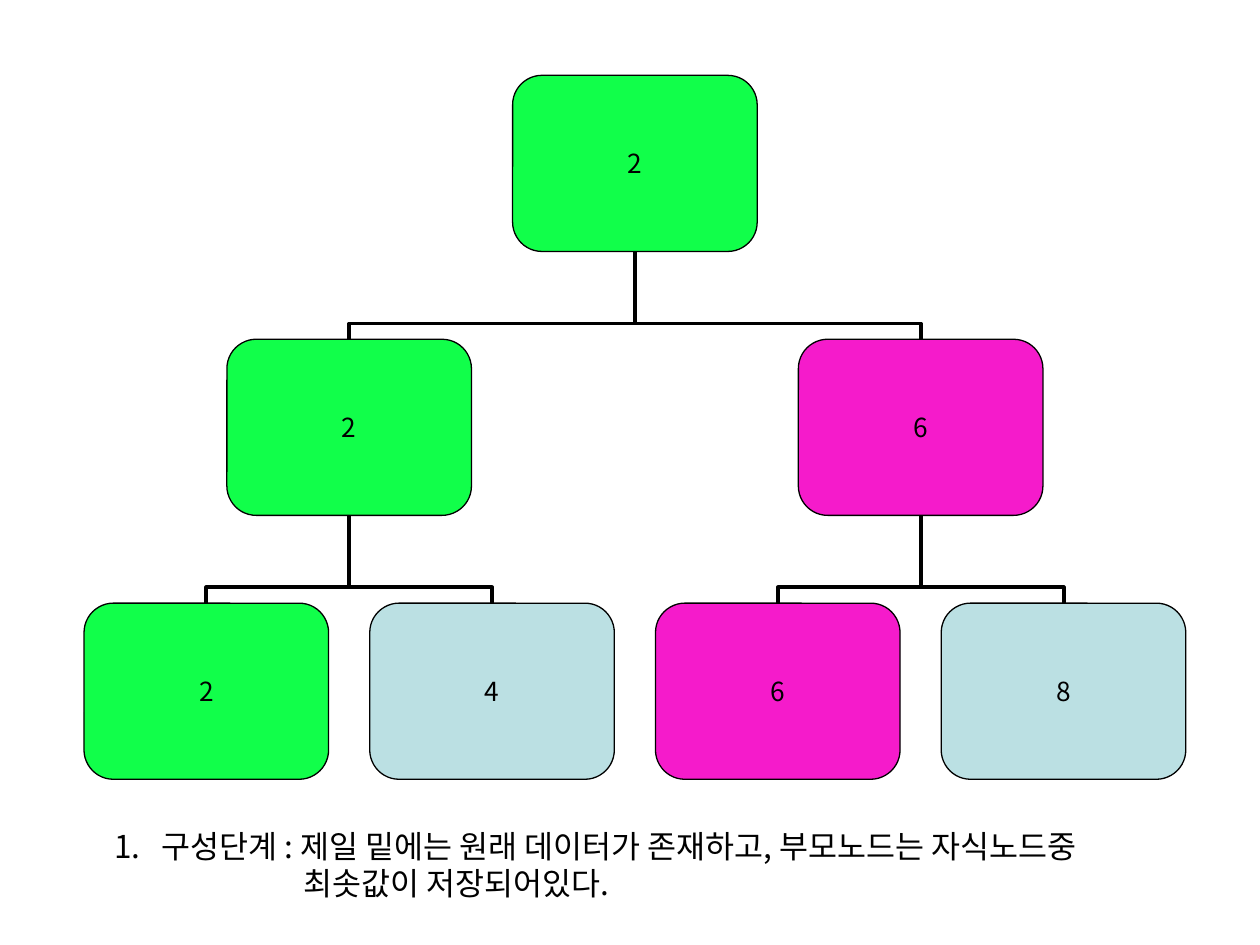
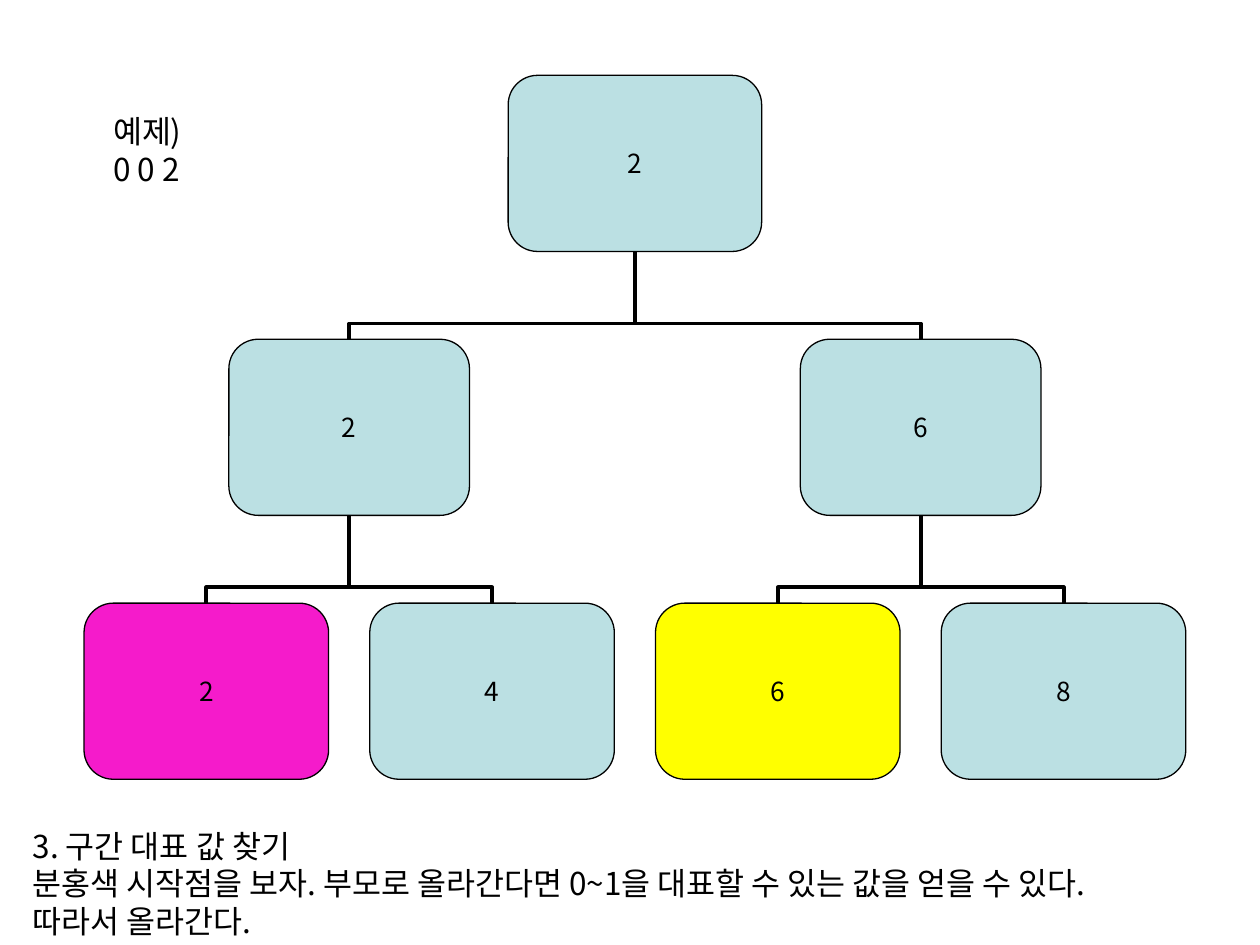
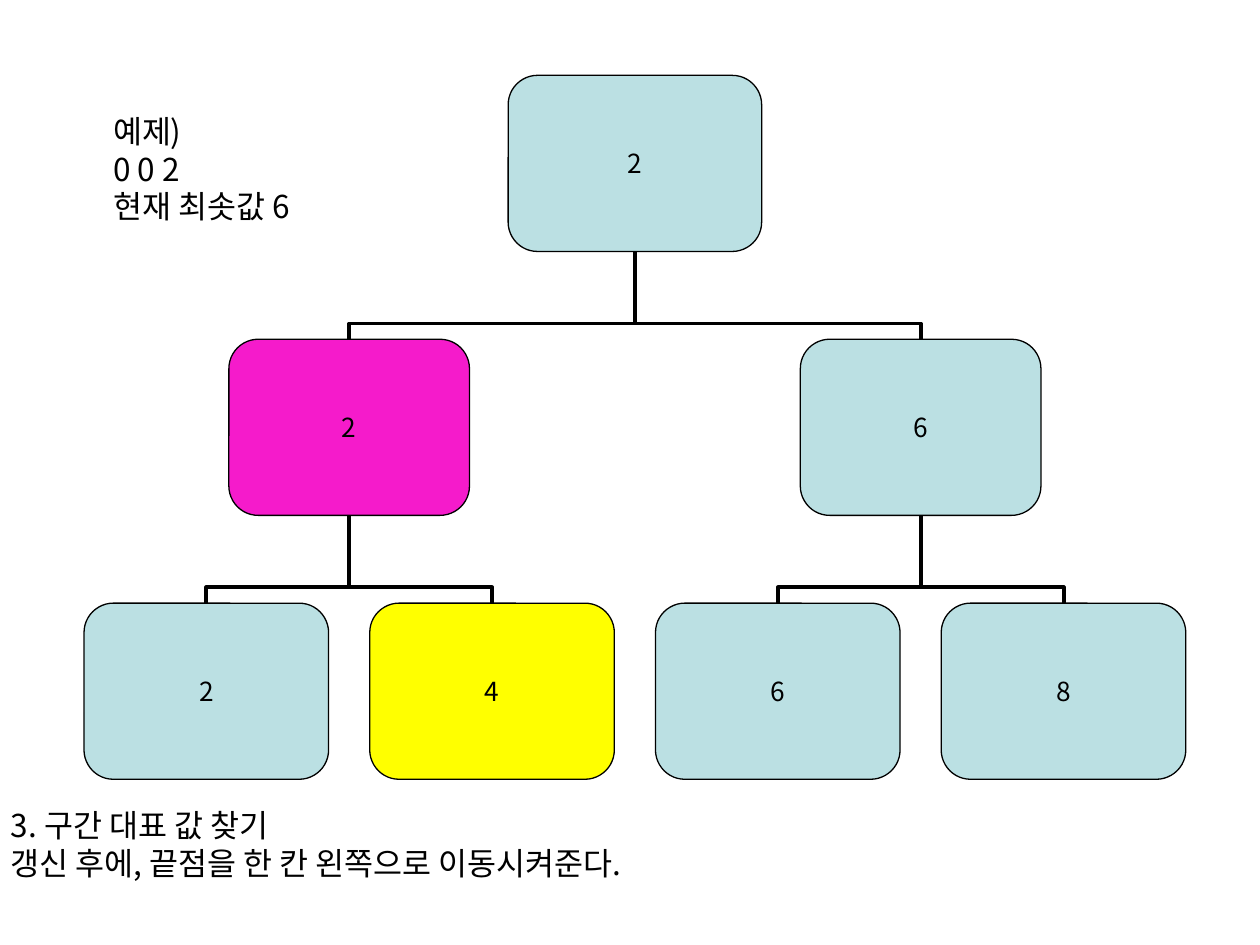
from lxml import etree
from pptx import Presentation
from pptx import util as u
from pptx.dml.color import RGBColor
from pptx.enum import shapes, text
from pptx.oxml import ns

# Shared look
BLACK = RGBColor(0x00, 0x00, 0x00)
GREEN = RGBColor(0x11, 0xFF, 0x4A)
PINK = RGBColor(0xF5, 0x1B, 0xCB)
PALE = RGBColor(0xBB, 0xE0, 0xE3)
YELLOW = RGBColor(0xFF, 0xFF, 0x00)
FONT = "Noto Sans CJK KR"

# Tree layout in cm
TOP, DROP = 1.52, 5.32
FIRST, STEP = 4.16, 5.76
HEIGHT = 3.55
EVEN = (4.93, 4.93, 4.93)
MIXED = (5.11, 4.85, 4.93)
VALUES = ((2,), (2, 6), (2, 4, 6, 8))


def sub(node, tag, **attrs):
    return etree.SubElement(node, ns.qn(tag), attrs)


def add_run(para, words, size):
    run = para.add_run()
    run.text = words
    run.font.size = u.Pt(size)
    run.font.name = FONT
    run.font.color.rgb = BLACK
    sub(run.font._element, "a:ea", typeface=FONT)


def centre(level, index):
    """Middle of a node: leaves are evenly spaced, parents sit between children."""
    span = 2 ** (2 - level)
    return FIRST + STEP * (index * span + (span - 1) / 2)


def add_node(slide, level, index, width, fill):
    box = slide.shapes.add_shape(
        shapes.MSO_SHAPE.ROUNDED_RECTANGLE,
        u.Cm(centre(level, index) - width / 2), u.Cm(TOP + level * DROP),
        u.Cm(width), u.Cm(HEIGHT))
    box.shadow.inherit = False
    box.fill.solid()
    box.fill.fore_color.rgb = fill
    box.line.color.rgb = BLACK
    box.line.width = u.Pt(0.75)
    frame = box.text_frame
    frame.margin_left = frame.margin_right = 0
    frame.margin_top = frame.margin_bottom = 0
    frame.vertical_anchor = text.MSO_ANCHOR.MIDDLE
    para = frame.paragraphs[0]
    para.alignment = text.PP_ALIGN.CENTER
    add_run(para, str(VALUES[level][index]), 15)


def add_branch(slide, level, index):
    """Elbow from the top of a node up to the bottom of its parent."""
    child, parent = centre(level, index), centre(level - 1, index // 2)
    rise, reach = DROP - HEIGHT, abs(child - parent)
    mid_x = (child + parent) / 2
    mid_y = TOP + level * DROP - rise / 2
    left, top = mid_x - rise / 2, mid_y - reach / 2
    line = slide.shapes.add_connector(
        shapes.MSO_CONNECTOR.ELBOW, u.Cm(left), u.Cm(top),
        u.Cm(left + rise), u.Cm(top + reach))
    line.line.color.rgb = BLACK
    line.line.width = u.Pt(2.25)

    # Turn the elbow upright and put its bend close to the child
    props = line._element.spPr
    frame = props.find(ns.qn("a:xfrm"))
    frame.set("flipV", "1")
    if child < parent:
        frame.set("flipH", "1")
    frame.set("rot", str((90 if child < parent else 270) * 60000))
    bend = props.find(ns.qn("a:prstGeom")).find(ns.qn("a:avLst"))
    sub(bend, "a:gd", name="adj1", fmla="val 17900")
    sub(props, "a:effectLst")


def add_tree(slide, widths, fills):
    """Draw the branches first, then the nodes; fills maps (level, index) to colour."""
    spots = [(level, i) for level, row in enumerate(VALUES) for i in range(len(row))]
    for level, i in spots[1:]:
        add_branch(slide, level, i)
    for level, i in spots:
        add_node(slide, level, i, widths[level], fills.get((level, i), PALE))


def add_note(slide, left, top, width, lines):
    box = slide.shapes.add_textbox(
        u.Cm(left), u.Cm(top), u.Cm(width), u.Cm(0.25 + 0.76 * len(lines)))
    frame = box.text_frame
    frame.word_wrap = True
    for i, words in enumerate(lines):
        para = frame.add_paragraph() if i else frame.paragraphs[0]
        para.line_spacing = u.Pt(21.6)
        add_run(para, words, 18)
    return frame.paragraphs


def indent(para, left, hang):
    props = para._p.get_or_add_pPr()
    props.set("marL", str(u.Cm(left)))
    props.set("indent", str(-u.Cm(hang)))
    return props


def main():
    prs = Presentation()
    prs.slide_width, prs.slide_height = u.Cm(25.4), u.Cm(19.05)
    blank = prs.slide_layouts[6]

    # Building the tree
    slide = prs.slides.add_slide(blank)
    add_tree(slide, EVEN, {(0, 0): GREEN, (1, 0): GREEN, (2, 0): GREEN,
                           (1, 1): PINK, (2, 2): PINK})
    head, rest = add_note(slide, 2.06, 16.54, 21.2, [
        "구성단계 : 제일 밑에는 원래 데이터가 존재하고, 부모노드는 자식노드중",
        "최솟값이 저장되어있다."])
    props = indent(head, 0.95, 0.95)
    sub(props, "a:buFont", typeface=FONT)
    sub(props, "a:buAutoNum", type="arabicPeriod")
    indent(rest, 4.76, 0.95)

    # Finding the value of a range: start
    sample = ["예제)", "0 0 2"]
    title = "3. 구간 대표 값 찾기"
    slide = prs.slides.add_slide(blank)
    add_tree(slide, MIXED, {(2, 0): PINK, (2, 2): YELLOW})
    add_note(slide, 2.03, 2.13, 7.06, sample)
    add_note(slide, 0.41, 16.54, 24.59, [
        title,
        "분홍색 시작점을 보자. 부모로 올라간다면 0~1을 대표할 수 있는 값을 얻을 수 있다.",
        "따라서 올라간다."])

    # Finding the value of a range: move the end
    slide = prs.slides.add_slide(blank)
    add_tree(slide, MIXED, {(1, 0): PINK, (2, 1): YELLOW})
    add_note(slide, 2.03, 2.13, 7.06, sample + ["현재 최솟값 6"])
    add_note(slide, -0.03, 16.13, 15.34, [
        title, "갱신 후에, 끝점을 한 칸 왼쪽으로 이동시켜준다."])

    prs.save("out.pptx")


if __name__ == "__main__":
    main()
